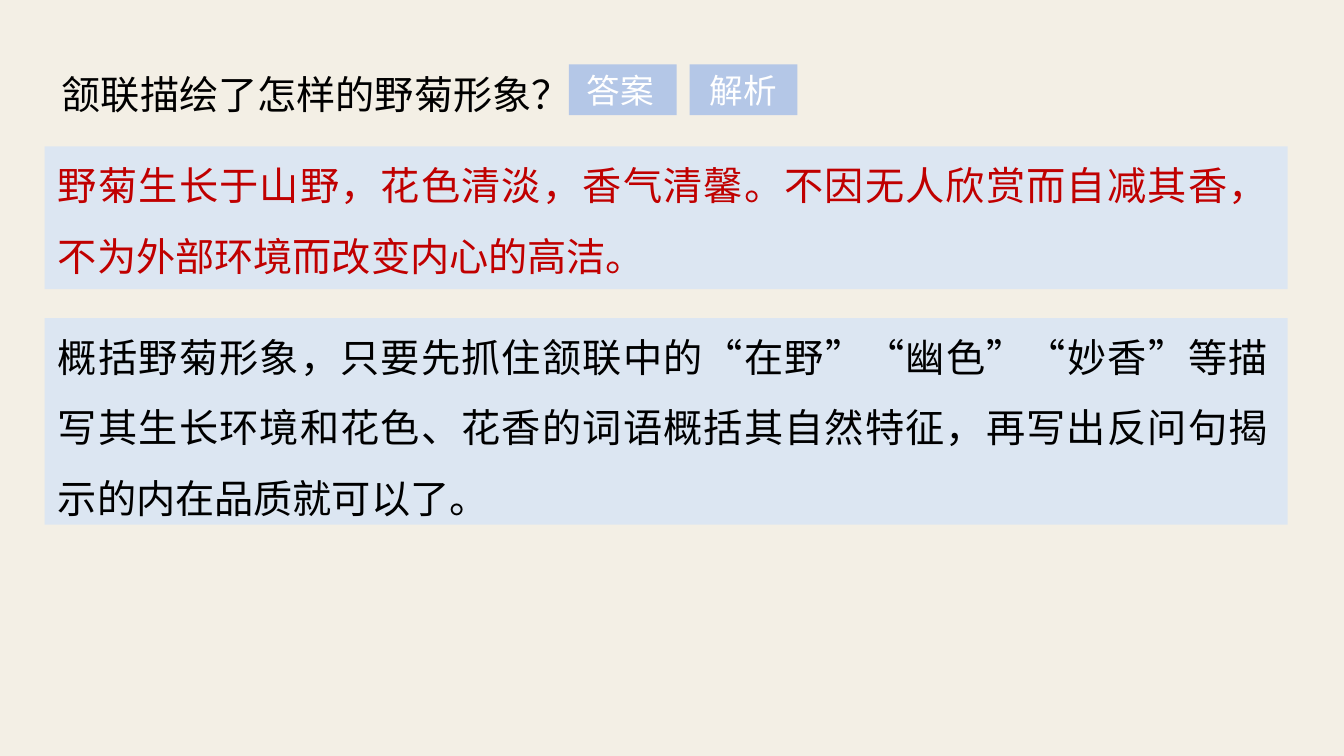
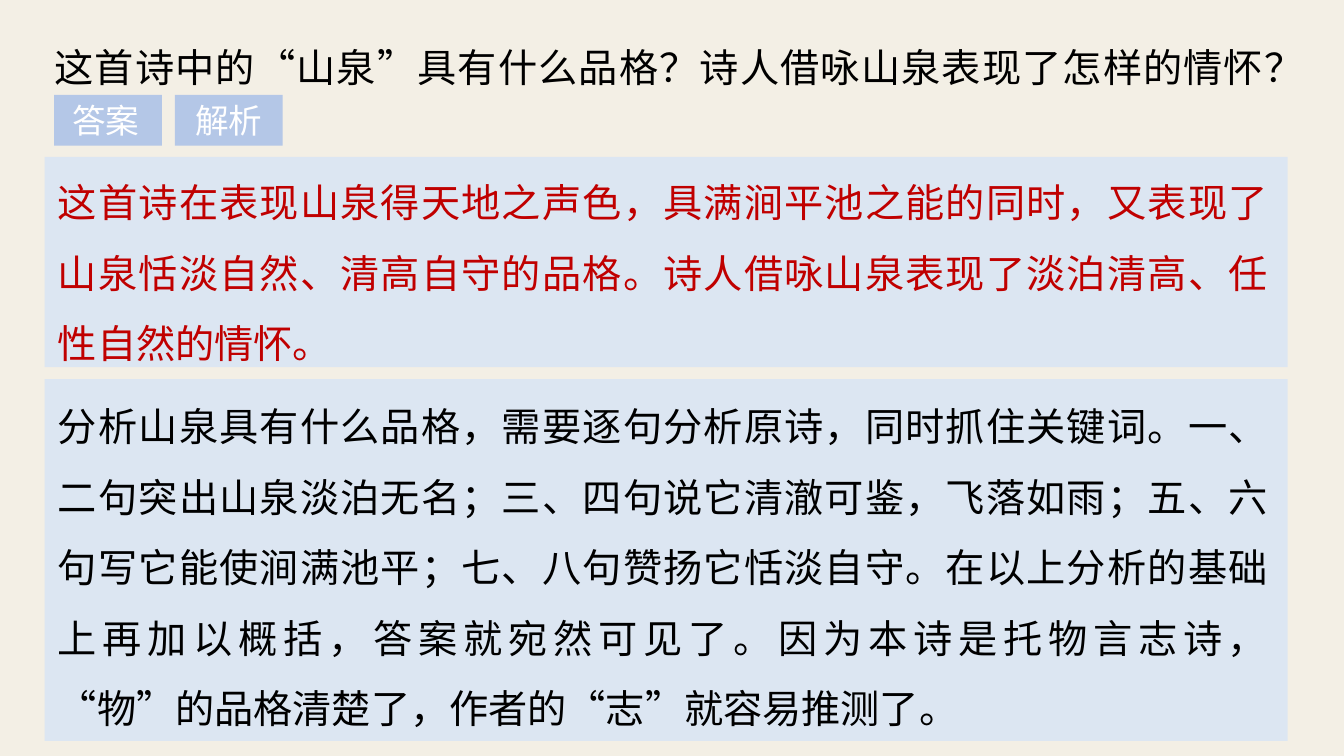
"""Build two question slides with answer and analysis panels."""
from dataclasses import dataclass
from itertools import groupby

from lxml import etree
from pptx import Presentation
from pptx.dml.color import RGBColor
from pptx.enum.lang import MSO_LANGUAGE_ID
from pptx.enum.shapes import MSO_SHAPE
from pptx.enum.text import MSO_ANCHOR, MSO_AUTO_SIZE, PP_ALIGN
from pptx.oxml.ns import qn
from pptx.shapes.autoshape import Shape
from pptx.slide import Slide
from pptx.util import Pt

RECT = MSO_SHAPE.RECTANGLE
LEFT, CENTER, JUSTIFY = PP_ALIGN.LEFT, PP_ALIGN.CENTER, PP_ALIGN.JUSTIFY
MIDDLE, GROW = MSO_ANCHOR.MIDDLE, MSO_AUTO_SIZE.SHAPE_TO_FIT_TEXT
CHINESE = MSO_LANGUAGE_ID.SIMPLIFIED_CHINESE


@dataclass(frozen=True)
class Theme:
    paper: RGBColor = RGBColor(0xF3, 0xEF, 0xE5)
    panel: RGBColor = RGBColor(0xDC, 0xE6, 0xF2)
    button: RGBColor = RGBColor(0xB4, 0xC7, 0xE7)
    black: RGBColor = RGBColor(0, 0, 0)
    red: RGBColor = RGBColor(0xC0, 0, 0)
    white: RGBColor = RGBColor(0xFF, 0xFF, 0xFF)
    serif: str = "Times New Roman"
    sans: str = "Arial"
    han: str = "Noto Sans CJK SC"
    body: int = 28
    label: int = 24


@dataclass(frozen=True)
class Prose:
    text: str
    left: float
    top: float
    height: float
    color: RGBColor
    spacing: float = 1.5


@dataclass(frozen=True)
class Panel:
    top: float
    height: float
    prose: Prose


@dataclass(frozen=True)
class Page:
    title: Prose
    button: tuple[float, float]
    panels: tuple[Panel, ...]


THEME = Theme()
EDGE = 31.8
PAGES = (
    Page(
        Prose("颔联描绘了怎样的野菊形象？", 34.6, 31.8, 56.8, THEME.black, 1.4),
        (406.3, 46),
        (
            Panel(104.5, 102, Prose(
                "野菊生长于山野，花色清淡，香气清馨。不因无人欣赏而自减其香，"
                "不为外部环境而改变内心的高洁。",
                EDGE, 93.6, 105, THEME.red)),
            Panel(227.3, 147.4, Prose(
                "概括野菊形象，只要先抓住颔联中的“在野”“幽色”“妙香”等描写其"
                "生长环境和花色、花香的词语概括其自然特征，再写出反问句揭示的"
                "内在品质就可以了。",
                EDGE, 216.2, 155.5, THEME.black)),
        ),
    ),
    Page(
        Prose("这首诗中的“山泉”具有什么品格？诗人借咏山泉表现了怎样的情怀？",
              29.4, 9.4, 54, THEME.black),
        (38.7, 67.8),
        (
            Panel(112.1, 150.2, Prose(
                "这首诗在表现山泉得天地之声色，具满涧平池之能的同时，又表现了"
                "山泉恬淡自然、清高自守的品格。诗人借咏山泉表现了淡泊清高、"
                "任性自然的情怀。",
                EDGE, 105.8, 155.5, THEME.red)),
            Panel(270.8, 258.4, Prose(
                "分析山泉具有什么品格，需要逐句分析原诗，同时抓住关键词。一、"
                "二句突出山泉淡泊无名；三、四句说它清澈可鉴，飞落如雨；五、六"
                "句写它能使涧满池平；七、八句赞扬它恬淡自守。在以上分析的基础"
                "上再加以概括，答案就宛然可见了。因为本诗是托物言志诗，“物”的"
                "品格清楚了，作者的“志”就容易推测了。",
                EDGE, 265.7, 257.8, THEME.black)),
        ),
    ),
)


def write(shape: Shape, text: str, font: str, size: float,
          color: RGBColor, align: PP_ALIGN, spacing: float = 1) -> None:
    para = shape.text_frame.paragraphs[0]
    para.alignment = align
    para.line_spacing = spacing
    para.font.name = font
    para.font.size = Pt(size)
    para.font.color.rgb = color
    para.font.language_id = CHINESE
    props = para._p.pPr.find(qn("a:defRPr"))
    etree.SubElement(props, qn("a:ea")).set("typeface", THEME.han)
    for quoted, chars in groupby(text, lambda char: char in "“”"):
        run = para.add_run()
        run.text = "".join(chars)
        if quoted:
            run.font.name = THEME.han


def block(slide: Slide, left: float, top: float, width: float,
          height: float, color: RGBColor) -> Shape:
    shape = slide.shapes.add_shape(
        RECT, Pt(left), Pt(top), Pt(width), Pt(height))
    shape.shadow.inherit = False
    shape.fill.solid()
    shape.fill.fore_color.rgb = color
    shape.line.fill.background()
    return shape


def prose(slide: Slide, item: Prose) -> None:
    box = slide.shapes.add_textbox(
        Pt(item.left), Pt(item.top), Pt(883.5), Pt(item.height))
    frame = box.text_frame
    frame.word_wrap = True
    frame.auto_size = GROW
    frame.margin_left = frame.margin_right = Pt(9.6)
    frame.margin_top = frame.margin_bottom = Pt(4.8)
    write(box, item.text, THEME.serif, THEME.body, item.color,
          JUSTIFY, item.spacing)


def buttons(slide: Slide, left: float, top: float) -> None:
    labels = (("答案", LEFT, 13), ("解析", CENTER, 7.2))
    for index, (text, align, inset) in enumerate(labels):
        shape = block(slide, left + index * 86.3, top, 77, 36.2, THEME.button)
        frame = shape.text_frame
        frame.vertical_anchor = MIDDLE
        frame.margin_left = Pt(inset)
        frame.margin_top = frame.margin_bottom = Pt(0)
        write(shape, text, THEME.sans, THEME.label, THEME.white, align)


def draw(slide: Slide, page: Page) -> None:
    fill = slide.background.fill
    fill.solid()
    fill.fore_color.rgb = THEME.paper
    prose(slide, page.title)
    for panel in page.panels:
        block(slide, EDGE, panel.top, 888, panel.height, THEME.panel)
        prose(slide, panel.prose)
    buttons(slide, *page.button)


def main() -> None:
    deck = Presentation()
    deck.slide_width, deck.slide_height = Pt(960), Pt(540)
    for page in PAGES:
        draw(deck.slides.add_slide(deck.slide_layouts[6]), page)
    deck.save("out.pptx")


if __name__ == "__main__":
    main()
